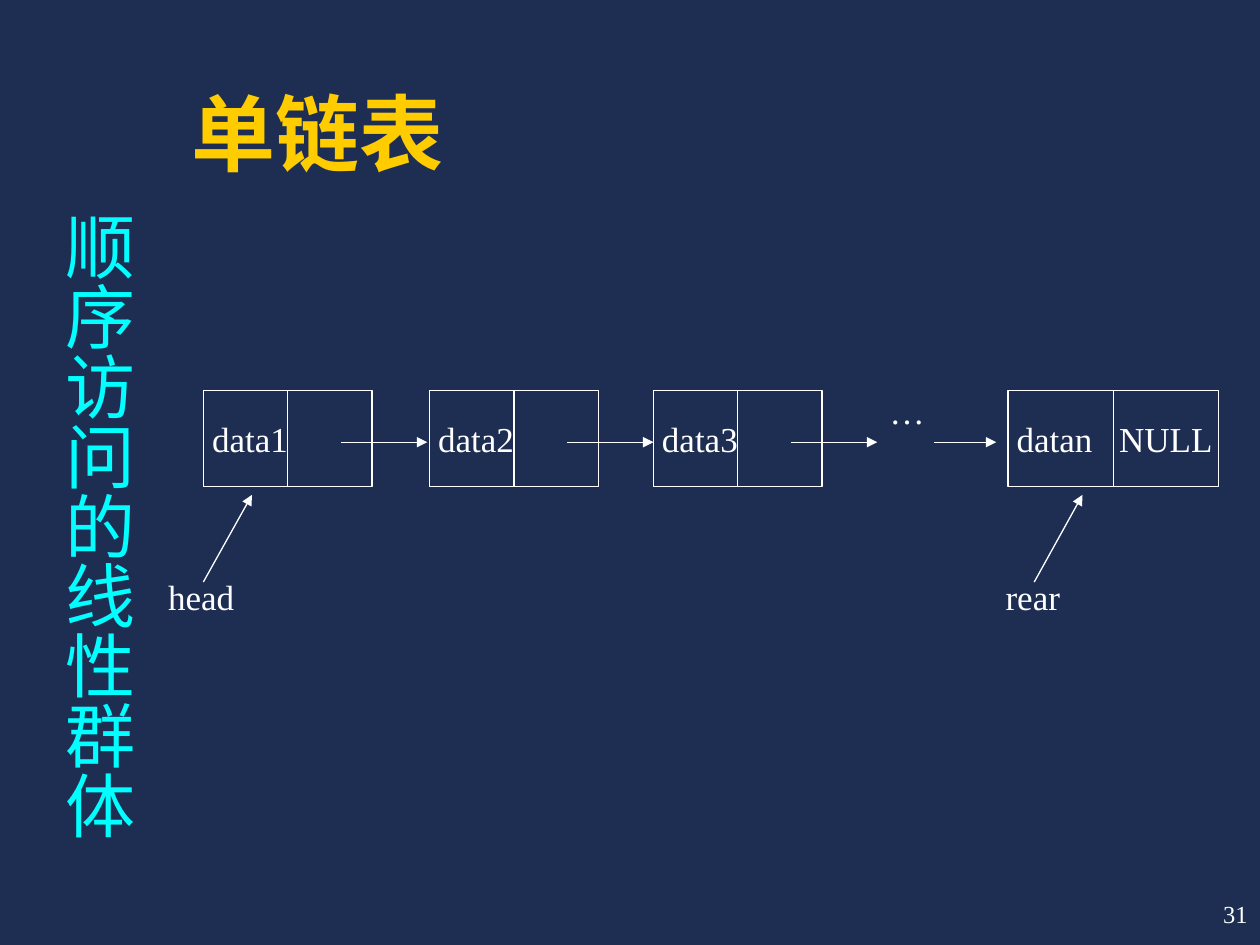
from dataclasses import dataclass, field
from lxml import etree
from pptx import Presentation
from pptx.dml.color import RGBColor
from pptx.enum import shapes, text
from pptx.oxml import ns
from pptx.util import Pt

NAVY = RGBColor(0x1E, 0x2E, 0x53)
GOLD = RGBColor(0xFF, 0xCC, 0x00)
CYAN = RGBColor(0x00, 0xFF, 0xFF)
WHITE = RGBColor(0xFF, 0xFF, 0xFF)
SERIF, SANS, HAN = "Times New Roman", "Arial", "Noto Sans CJK SC"
ALIGN, ANCHOR = text.PP_ALIGN, text.MSO_ANCHOR
TOP, HIGH, MID = 223.2, 54.7, 252.7


@dataclass
class Node:
    label: str
    left: float
    width: float = 96.5
    link: bool = True


@dataclass
class Label:
    words: str
    box: tuple
    align: ALIGN = ALIGN.LEFT
    size: float = 20
    pads: tuple = (0, 0, 0, 0)
    face: str = SERIF
    color: RGBColor = WHITE
    frame: dict = field(default_factory=dict)


@dataclass
class Arrow:
    start: tuple
    end: tuple
    head: bool = True


def apply(item, values: dict) -> None:
    for name, value in values.items():
        setattr(item, name, value)


def place(shape, box: tuple) -> None:
    apply(shape, dict(zip(("left", "top", "width", "height"), map(Pt, box))))


def write(shape, label: Label) -> None:
    frame = shape.text_frame
    sides = ("margin_left", "margin_top", "margin_right", "margin_bottom")
    apply(frame, {"text": label.words, "word_wrap": True,
                  "auto_size": text.MSO_AUTO_SIZE.NONE,
                  "vertical_anchor": ANCHOR.TOP})
    apply(frame, dict(zip(sides, map(Pt, label.pads))))
    apply(frame, label.frame)
    para = frame.paragraphs[0]
    para.alignment = label.align
    font = para.runs[0].font
    apply(font, {"name": label.face, "size": Pt(label.size)})
    font.color.rgb = label.color
    east = etree.SubElement(font._element, ns.qn("a:ea"))
    east.set("typeface", HAN)


def draw_text(slide, label: Label):
    shape = slide.shapes.add_textbox(*map(Pt, label.box))
    write(shape, label)
    return shape


def draw_line(slide, arrow: Arrow) -> None:
    line = slide.shapes.add_connector(
        shapes.MSO_CONNECTOR.STRAIGHT, *map(Pt, arrow.start + arrow.end))
    line.line.width = Pt(0.74)
    line.line.color.rgb = WHITE
    if arrow.head:
        tip = etree.SubElement(line.line._get_or_add_ln(), ns.qn("a:tailEnd"))
        for name, value in {"type": "triangle", "w": "med", "len": "med"}.items():
            tip.set(name, value)
    etree.SubElement(line._element.spPr, ns.qn("a:effectLst"))


def draw_node(slide, node: Node) -> None:
    box = (node.left, TOP, node.width, HIGH)
    shape = slide.shapes.add_shape(shapes.MSO_SHAPE.RECTANGLE, *map(Pt, box))
    shape.shadow.inherit = False
    shape.fill.background()
    shape.line.width = Pt(0.74)
    shape.line.color.rgb = WHITE
    write(shape, Label(node.label, box, pads=(5, 0, 0, 0),
                       frame={"vertical_anchor": ANCHOR.MIDDLE, "word_wrap": False}))
    props = shape.text_frame.paragraphs[0]._p.get_or_add_pPr()
    tabs = etree.SubElement(props, ns.qn("a:tabLst"))
    stop = etree.SubElement(tabs, ns.qn("a:tab"))
    stop.set("pos", str(Pt(58.5)))
    stop.set("algn", "l")
    half = node.left + node.width / 2
    draw_line(slide, Arrow((half, TOP), (half, TOP + HIGH), False))
    if node.link:
        tail = node.left + 78.7
        draw_line(slide, Arrow((tail, MID), (tail + 49.3, MID)))


NODES = [
    Node("data1", 116.2),
    Node("data2", 245.4),
    Node("data3", 373.3),
    Node("datan\tNULL", 576, 120.2, False),
]
ARROWS = [
    Arrow((534, MID), (569.3, MID)),
    Arrow((116.2, 332.6), (144, 282.8)),
    Arrow((591, 332.6), (618.6, 282.8)),
]
PADS = (7.2, 3.6, 7.2, 3.6)
LABELS = [
    Label("…", (491.8, 218.9, 53.3, 59), ALIGN.CENTER, pads=PADS),
    Label("head", (96, 329, 63.4, 43.2)),
    Label("rear", (574.6, 329, 63.4, 43.2)),
    Label("31", (570.2, 504, 149.8, 36), ALIGN.RIGHT, 14, PADS,
          frame={"vertical_anchor": ANCHOR.MIDDLE}),
]
TITLE = Label("单链表", (102.2, 18, 563.8, 90), size=48, pads=PADS, face=SANS,
              color=GOLD, frame={"vertical_anchor": ANCHOR.BOTTOM})
SIDE = Label("顺序访问的线性群体", (21.6, 113.8, 61.9, 377.3), size=40,
             pads=(3.6, 7.2, 3.6, 7.2), face=HAN, color=CYAN)


def main() -> None:
    deck = Presentation()
    apply(deck, {"slide_width": Pt(720), "slide_height": Pt(540)})
    slide = deck.slides.add_slide(deck.slide_layouts[5])
    fill = slide.background.fill
    fill.solid()
    fill.fore_color.rgb = NAVY
    title = slide.shapes.title
    place(title, TITLE.box)
    write(title, TITLE)
    title.text_frame.paragraphs[0].runs[0].font.bold = True
    for node in NODES:
        draw_node(slide, node)
    for arrow in ARROWS:
        draw_line(slide, arrow)
    for label in LABELS:
        draw_text(slide, label)
    side = draw_text(slide, SIDE)
    side.text_frame._txBody.bodyPr.set("vert", "eaVert")
    side.text_frame.paragraphs[0].space_before = Pt(25)
    deck.save("out.pptx")


main()
